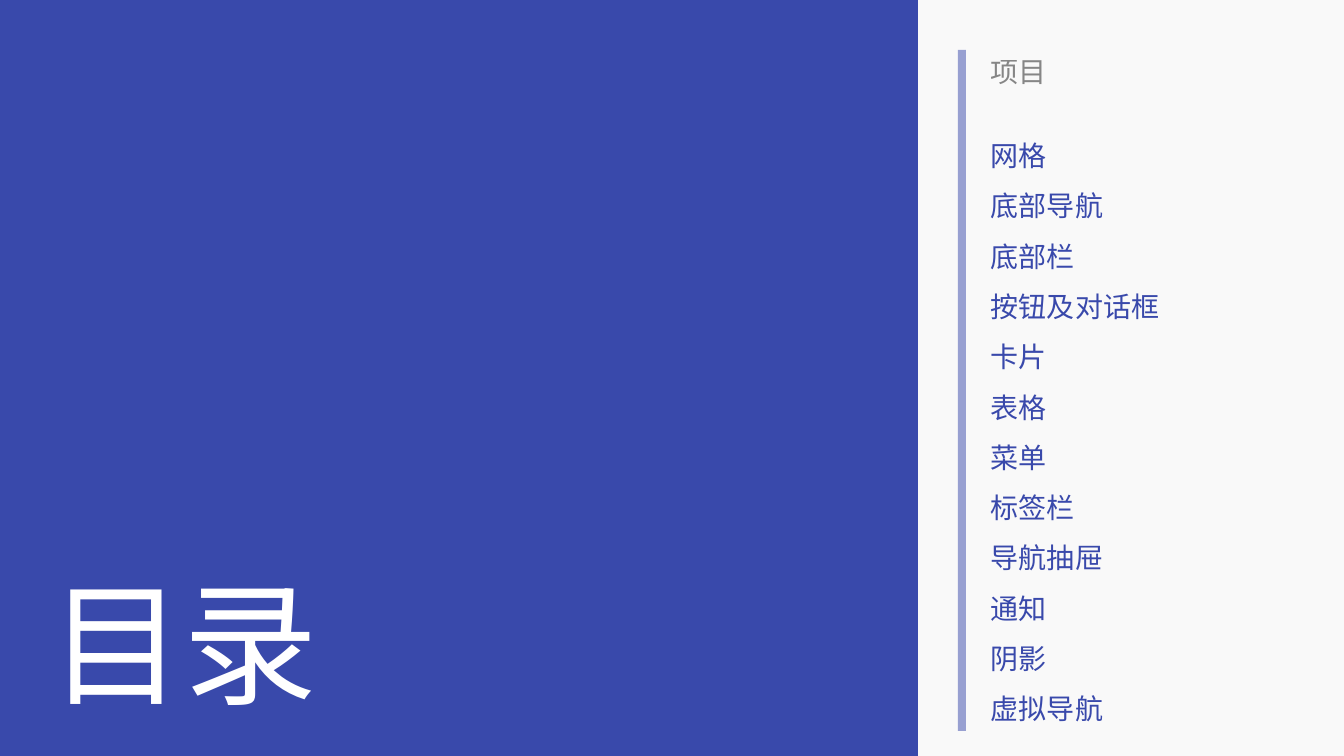
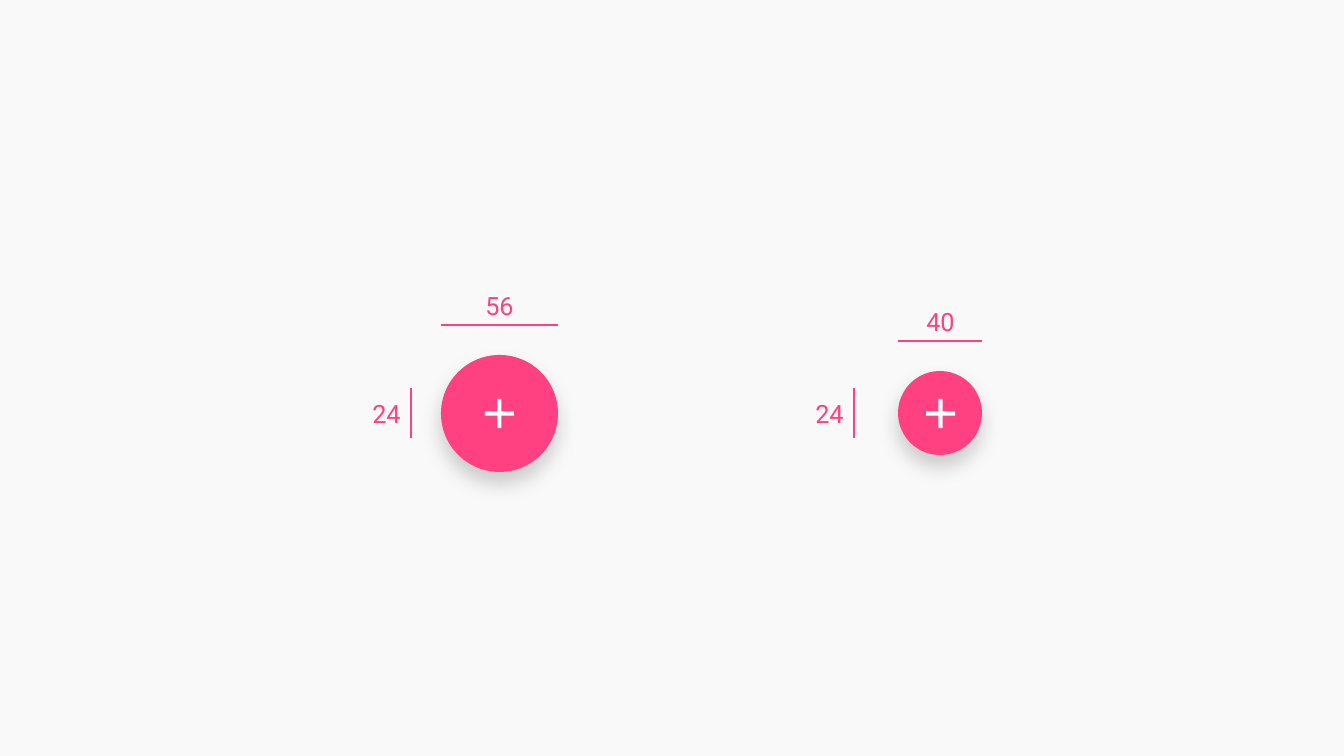
"""Builds a contents slide and a slide with the sizes of floating action buttons."""
from lxml import etree
from pptx import Presentation
from pptx import util as u
from pptx.dml.color import RGBColor
from pptx.enum import lang, shapes, text
from pptx.oxml import ns

FONT = "Roboto"
INDIGO = RGBColor(0x39, 0x49, 0xAB)
PINK = RGBColor(0xFF, 0x40, 0x81)
PAPER = RGBColor(0xF9, 0xF9, 0xF9)
WHITE = RGBColor(0xFF, 0xFF, 0xFF)
BLACK = RGBColor(0, 0, 0)

SLIDE_W, SLIDE_H = 1344, 756
EMU_PER_PX = 12192000 / SLIDE_W
PX_PER_DP = 2.09
TITLE_ONLY, BLANK = 5, 6

ENTRIES = ("网格", "底部导航", "底部栏", "按钮及对话框", "卡片", "表格",
           "菜单", "标签栏", "导航抽屉", "通知", "阴影", "虚拟导航")


def px(*lengths):
    """Turn pixel lengths into a list of EMU lengths."""
    return [u.Emu(round(length * EMU_PER_PX)) for length in lengths]


def dp(size):
    """Turn a design size into whole pixels."""
    return round(size * PX_PER_DP)


def set_alpha(properties, percent):
    """Make the first solid colour inside properties partly transparent."""
    colour = next(properties.iter(ns.qn("a:srgbClr")))
    etree.SubElement(colour, ns.qn("a:alpha"), val=str(percent * 1000))


def add_block(slide, preset, box, colour):
    """Add a filled preset shape without outline or shadow."""
    block = slide.shapes.add_shape(preset, *px(*box))
    block.shadow.inherit = False
    block.fill.solid()
    block.fill.fore_color.rgb = colour
    block.line.fill.background()
    return block


def write(frame, words, size, colour, align=text.PP_ALIGN.LEFT):
    """Put one line of text into a frame that does not wrap."""
    frame.word_wrap = False
    frame.auto_size = text.MSO_AUTO_SIZE.SHAPE_TO_FIT_TEXT
    frame.vertical_anchor = text.MSO_ANCHOR.TOP
    paragraph = frame.paragraphs[0]
    paragraph.alignment = align
    run = paragraph.add_run()
    run.text = words
    run.font.name = FONT
    run.font.size = u.Pt(size)
    run.font.color.rgb = colour
    run.font.language_id = lang.MSO_LANGUAGE_ID.SIMPLIFIED_CHINESE
    latin = run.font._element.find(ns.qn("a:latin"))
    east_asian = etree.Element(ns.qn("a:ea"), typeface=FONT)
    latin.addnext(east_asian)
    return run


def add_label(slide, box, words, size, colour, align=text.PP_ALIGN.LEFT):
    """Add a text box holding one line."""
    label = slide.shapes.add_textbox(*px(*box))
    return write(label.text_frame, words, size, colour, align)


def add_entry(slide, top, words, colour):
    """Add one line of the contents column."""
    return add_label(slide, (981, top, 28 * len(words) + 21, 44), words, 20, colour)


def add_rule(slide, *ends):
    """Add a thin measuring line between two points."""
    rule = slide.shapes.add_connector(shapes.MSO_CONNECTOR.STRAIGHT, *px(*ends))
    rule.line.color.rgb = PINK
    rule.line.width = u.Pt(1.5)
    etree.SubElement(rule._element.spPr, ns.qn("a:effectLst"))


def add_soft_shadow(block):
    """Drop a soft shadow below a shape."""
    effects = block._element.spPr.find(ns.qn("a:effectLst"))
    shadow = etree.SubElement(
        effects, ns.qn("a:outerShdw"), blurRad=str(u.Pt(15)), dist=str(u.Pt(8)),
        dir="5400000", algn="t", rotWithShape="0")
    etree.SubElement(shadow, ns.qn("a:srgbClr"), val=str(BLACK))
    set_alpha(shadow, 19)


def add_measured_button(slide, left, middle, size, side_gap):
    """Add a round plus button with its width and icon size marked."""
    diameter, icon, plus = dp(size), dp(24), dp(14)
    top = middle - diameter // 2
    centre = left + diameter // 2
    button = add_block(slide, shapes.MSO_SHAPE.OVAL, (left, top, diameter, diameter), PINK)
    add_soft_shadow(button)
    sign = add_block(slide, shapes.MSO_SHAPE.CROSS,
                     (centre - plus // 2, middle - plus // 2, plus, plus), WHITE)
    sign.adjustments[0] = 0.43

    width_y, icon_x = top - 30, left - side_gap
    add_rule(slide, left, width_y, left + diameter, width_y)
    add_rule(slide, icon_x, middle + icon // 2, icon_x, middle - icon // 2)
    for x, y, value in ((centre - 24, width_y - 40, size), (icon_x - 49, middle - 20, 24)):
        add_label(slide, (x, y, 49, 40), str(value), 18, PINK, text.PP_ALIGN.CENTER)


def build_contents(prs):
    """Build the contents slide."""
    slide = prs.slides.add_slide(prs.slide_layouts[TITLE_ONLY])
    title = slide.shapes.title
    add_block(slide, shapes.MSO_SHAPE.RECTANGLE, (0, 0, 918, SLIDE_H), INDIGO)
    bar = add_block(slide, shapes.MSO_SHAPE.RECTANGLE, (958, 50, 8, 681), INDIGO)
    set_alpha(bar._element.spPr, 50)

    slide.shapes._spTree.append(title._element)
    title.left, title.top, title.width, title.height = px(39, 555, 292, 173)
    write(title.text_frame, "目录", 96, WHITE)

    heading = add_entry(slide, 50, "项目", BLACK)
    set_alpha(heading.font._element, 46)
    for row, entry in enumerate(ENTRIES):
        add_entry(slide, 134 + round(row * 50.3), entry, INDIGO)


def build_buttons(prs):
    """Build the slide comparing the two button sizes."""
    slide = prs.slides.add_slide(prs.slide_layouts[BLANK])
    add_measured_button(slide, 441, 413, 56, 30)
    add_measured_button(slide, 898, 413, 40, 44)


def main():
    """Build and save the presentation."""
    prs = Presentation()
    prs.slide_width, prs.slide_height = px(SLIDE_W, SLIDE_H)
    backdrop = prs.slide_master.background.fill
    backdrop.solid()
    backdrop.fore_color.rgb = PAPER
    build_contents(prs)
    build_buttons(prs)
    prs.save("out.pptx")


if __name__ == "__main__":
    main()
